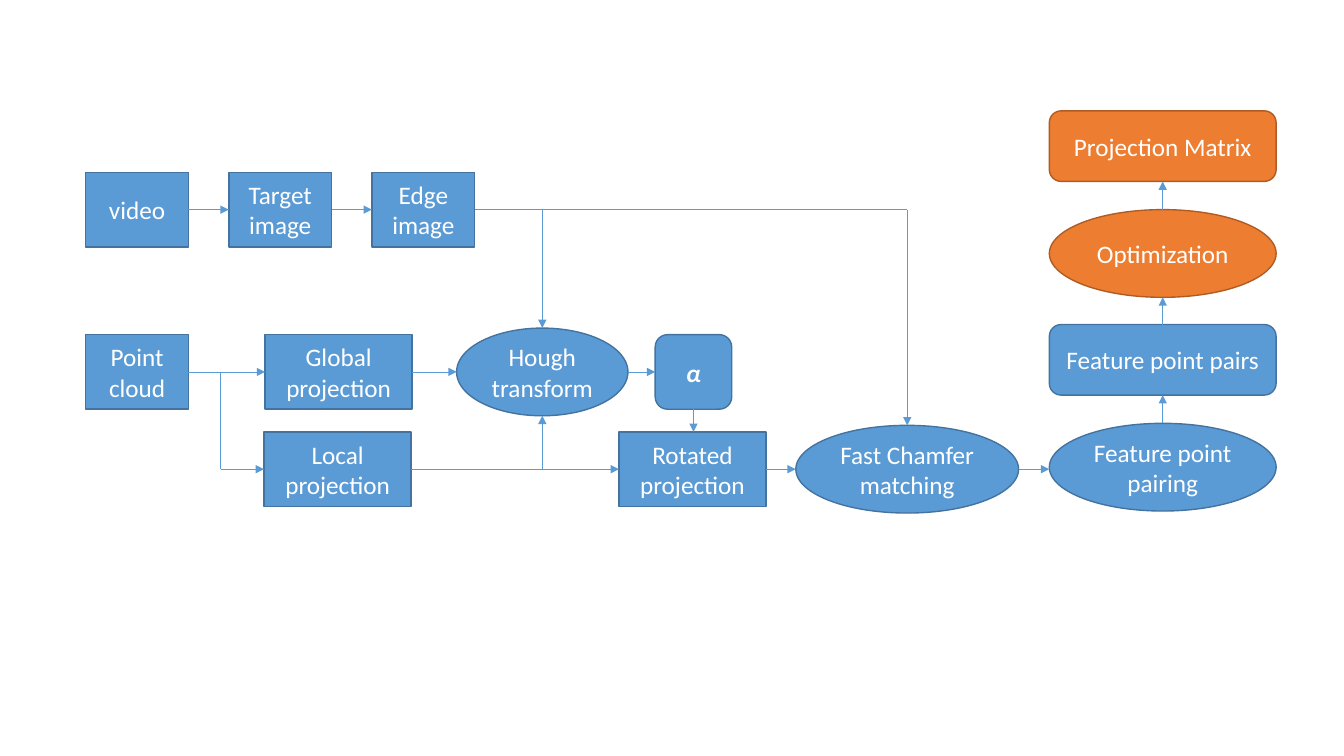
"""Flow chart that matches video edges with a point cloud."""
import collections
import pptx
import pptx.dml.color
import pptx.enum.shapes
import pptx.enum.text
import pptx.oxml
import pptx.oxml.ns
import pptx.util

KIND = pptx.enum.shapes.MSO_SHAPE
RECT, ROUND, OVAL = KIND.RECTANGLE, KIND.ROUNDED_RECTANGLE, KIND.OVAL
BLUE, ORANGE = ("5B9BD5", "43739E"), ("ED7D31", "AF5C24")
Node = collections.namedtuple("Node", "x y w h")


def paint(hue):
    """Turn a hex string into a colour."""
    return pptx.dml.color.RGBColor.from_string(hue)


def unit(count):
    """Turn grid steps of a tenth of an inch into a length."""
    return pptx.util.Inches(count / 10)


class Chart:
    """Draw nodes and wires on one slide."""

    font, size, ink = "Calibri", 18, "FFFFFF"

    def __init__(self, deck):
        """Add an empty slide to the deck."""
        self.slide = deck.slides.add_slide(deck.slide_layouts[6])

    def node(self, text, x, y, w, h=7.4, kind=RECT, tone=BLUE, strong=False):
        """Draw a labelled shape centred on a grid point."""
        spot = [unit(n) for n in (x - w / 2, y - h / 2, w, h)]
        shape = self.slide.shapes.add_shape(kind, *spot)
        shape.shadow.inherit = False
        shape.fill.solid()
        shape.fill.fore_color.rgb = paint(tone[0])
        shape.line.color.rgb = paint(tone[1])
        shape.line.width = pptx.util.Pt(1)
        frame = shape.text_frame
        frame.word_wrap = True
        frame.vertical_anchor = pptx.enum.text.MSO_ANCHOR.MIDDLE
        frame.text = text
        for para in frame.paragraphs:
            para.alignment = pptx.enum.text.PP_ALIGN.CENTER
            for run in para.runs:
                run.font.name = self.font
                run.font.size = pptx.util.Pt(self.size)
                run.font.color.rgb = paint(self.ink)
                if strong:
                    run.font.bold = run.font.italic = True
        return Node(x, y, w, h)

    def wire(self, start, end, tip=True):
        """Draw a straight line, with an arrowhead if wanted."""
        line = self.slide.shapes.add_connector(
            pptx.enum.shapes.MSO_CONNECTOR.STRAIGHT,
            *[unit(n) for n in (*start, *end)])
        line.line.color.rgb = paint(BLUE[0])
        line.line.width = pptx.util.Pt(0.5)
        if tip:
            head = pptx.oxml.parse_xml(
                '<a:tailEnd %s type="triangle"/>' % pptx.oxml.ns.nsdecls("a"))
            line.line._get_or_add_ln().append(head)
        flat = pptx.oxml.parse_xml(
            "<a:effectLst %s/>" % pptx.oxml.ns.nsdecls("a"))
        line._element.spPr.append(flat)

    def row(self, *nodes):
        """Join nodes from left to right."""
        for a, b in zip(nodes, nodes[1:]):
            self.wire((a.x + a.w / 2, a.y), (b.x - b.w / 2, a.y))

    def drop(self, x, top, node):
        """Run an arrow up or down to the near edge of a node."""
        side = -1 if top < node.y else 1
        self.wire((x, top), (x, node.y + side * node.h / 2))


def draw(chart):
    """Lay out the whole flow."""
    top, mid, low = 20.8, 36.9, 46.55
    left, fork, hub, match, last = 13.6, 21.9, 53.8, 90, 115.35

    video, target, edge = [
        chart.node(text, left + 14.2 * i, top, 10.2)
        for i, text in enumerate(("video", "Target image", "Edge image"))]
    cloud = chart.node("Point cloud", left, mid, 10.2)
    whole = chart.node("Global projection", 33.6, mid, 14.6)
    local = chart.node("Local projection", 33.5, low, 14.6)
    hough = chart.node("Hough\ntransform", hub, mid, 17, 8.7, OVAL)
    alpha = chart.node("α", 68.8, mid, 7.6, kind=ROUND, strong=True)
    turned = chart.node("Rotated projection", 68.7, low, 14.6)
    fast = chart.node("Fast Chamfer\nmatching", match, low, 22.1, 8.7, OVAL)

    stack = [
        chart.node(text, last, y, 22.5, h, kind, tone)
        for text, y, h, kind, tone in (
            ("Feature point pairing", 46.35, 8.7, OVAL, BLUE),
            ("Feature point pairs", 35.7, 7, ROUND, BLUE),
            ("Optimization", 25.15, 8.7, OVAL, ORANGE),
            ("Projection Matrix", 14.5, 7, ROUND, ORANGE))]

    chart.row(video, target, edge)
    chart.row(cloud, whole, hough, alpha)
    chart.row(local, turned, fast, stack[0])
    for a, b in zip(stack, stack[1:]):
        chart.drop(last, a.y - a.h / 2, b)
    chart.drop(alpha.x, alpha.y + alpha.h / 2, turned)

    chart.wire((edge.x + edge.w / 2, top), (match, top), tip=False)
    chart.drop(match, top, fast)
    for y in (top, low):
        chart.drop(hub, y, hough)
    chart.wire((fork, mid), (fork, low), tip=False)
    chart.wire((fork, low), (local.x - local.w / 2, low))


def main():
    """Build and save the deck."""
    deck = pptx.Presentation()
    deck.slide_width, deck.slide_height = unit(133.33), unit(75)
    draw(Chart(deck))
    deck.save("out.pptx")


if __name__ == "__main__":
    main()
